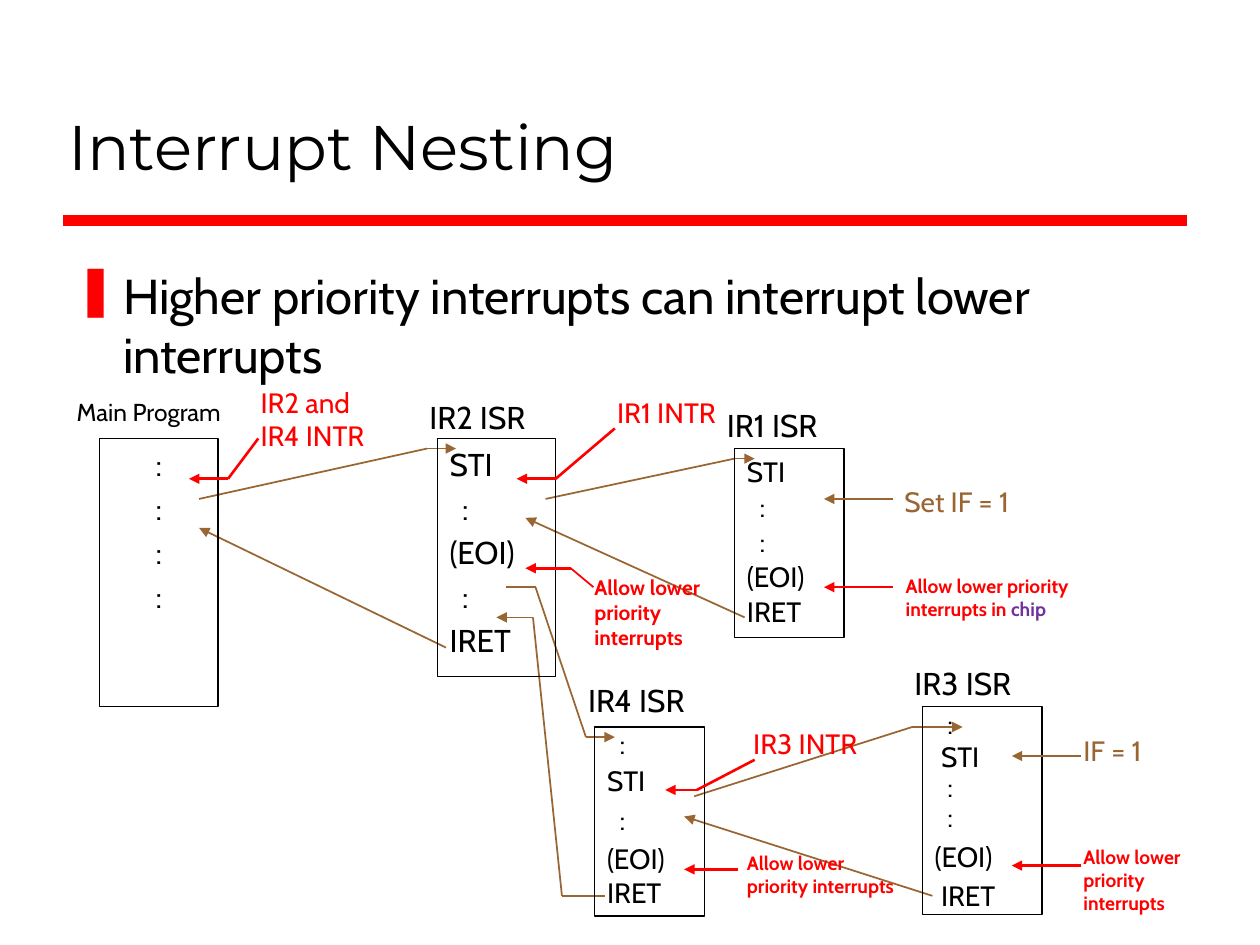
import pptx
import pptx.dml.color
import pptx.enum.shapes
import pptx.enum.text
import pptx.oxml.ns
import pptx.util
from lxml import etree

PX = 9144  # 100 px to the inch
BLACK, RED, BROWN, PURPLE = "000000", "FF0000", "996633", "7030A0"
STEP = 5  # indent step inside a routine


def px(*lengths):
    return [pptx.util.Emu(length * PX) for length in lengths]


def rgb(value):
    return pptx.dml.color.RGBColor.from_string(value)


def sub(parent, tag, **attributes):
    return etree.SubElement(parent, pptx.oxml.ns.qn(tag), attributes)


def add_run(paragraph, text, size, color=BLACK, bold=False, font="Cabin"):
    run = paragraph.add_run()
    run.text = text
    run.font.name = font
    run.font.size = pptx.util.Pt(size)
    run.font.bold = bold
    run.font.color.rgb = rgb(color)


def label(slide, box, runs, size, bold=False):
    """Place one paragraph of (text, color) runs; return the paragraph."""
    frame = slide.shapes.add_textbox(*px(*box)).text_frame
    frame.word_wrap = True
    paragraph = frame.paragraphs[0]
    paragraph.space_before = pptx.util.Pt(size * 0.2)
    for text, color in runs:
        add_run(paragraph, text, size, color, bold)
    return paragraph


def segment(slide, start, end, color, width, arrow=False):
    line = slide.shapes.add_connector(
        pptx.enum.shapes.MSO_CONNECTOR.STRAIGHT, *px(*start, *end))
    line.line.color.rgb = rgb(color)
    line.line.width = pptx.util.Pt(width)
    if arrow:
        sub(line.line._get_or_add_ln(), "a:tailEnd", type="triangle")
    sub(line._element.spPr, "a:effectLst")


def route(slide, points, color=BROWN, width=1):
    """Join the points with lines; the last one ends in an arrowhead."""
    for index, (start, end) in enumerate(zip(points, points[1:])):
        segment(slide, start, end, color, width, index == len(points) - 2)


def heading(slide, box, text):
    left, top, width, height = box
    title = slide.shapes.title
    title.left, title.top, title.width, title.height = px(*box)
    frame = title.text_frame
    frame.word_wrap = True
    frame.auto_size = pptx.enum.text.MSO_AUTO_SIZE.NONE
    frame.vertical_anchor = pptx.enum.text.MSO_ANCHOR.BOTTOM
    paragraph = frame.paragraphs[0]
    paragraph.alignment = pptx.enum.text.PP_ALIGN.LEFT
    add_run(paragraph, text, 36, font="Montserrat")
    rule = top + height + 25
    segment(slide, (left + 6, rule), (left + width + 1, rule), RED, 6)


def bullet_point(slide, box, text):
    properties = label(slide, box, [(text, BLACK)], 28)._p.get_or_add_pPr()
    hang = 38 * PX
    properties.set("marL", str(hang))
    properties.set("indent", str(-hang))
    sub(sub(properties, "a:buClr"), "a:srgbClr", val=RED)
    sub(properties, "a:buChar", char="❚")


def routine(slide, box, name, lines, size=16, name_box=(-16, -39, 106, 40),
            name_size=18, centered=False, inset=5):
    """Frame the lines (text, indent steps, before, after, line spacing)."""
    left, top, _, _ = box
    frame_box = slide.shapes.add_shape(
        pptx.enum.shapes.MSO_SHAPE.RECTANGLE, *px(*box))
    frame_box.shadow.inherit = False
    frame_box.fill.background()
    frame_box.line.color.rgb = rgb(BLACK)
    frame_box.line.width = pptx.util.Pt(0.75)
    frame = frame_box.text_frame
    frame.word_wrap = True
    frame.vertical_anchor = pptx.enum.text.MSO_ANCHOR.TOP
    frame.margin_top, frame.margin_bottom = px(inset, inset)
    align = pptx.enum.text.PP_ALIGN
    for index, (text, steps, before, after, spacing) in enumerate(lines):
        paragraph = frame.add_paragraph() if index else frame.paragraphs[0]
        paragraph.alignment = align.CENTER if centered else align.LEFT
        paragraph.space_before = pptx.util.Pt(round(size * before, 2))
        paragraph.space_after = pptx.util.Pt(round(size * after, 2))
        paragraph.line_spacing = spacing
        paragraph._p.get_or_add_pPr().set("marL", str(steps * STEP * PX))
        add_run(paragraph, text, size)
    dx, dy, width, height = name_box
    label(slide, (left + dx, top + dy, width, height), [(name, BLACK)], name_size)


def line(text, steps=0, before=0.2, after=0, spacing=1.0):
    return text, steps, before, after, spacing


def call_flow(slide):
    routes = [
        [(158, 396), (339, 356), (362, 356)],
        [(354, 514), (158, 419)],
        [(433, 396), (583, 364), (599, 364)],
        [(591, 490), (417, 411)],
        [(402, 466), (425, 466), (465, 585), (488, 585)],
        [(480, 711), (446, 711), (423, 490), (394, 490)],
        [(551, 632), (724, 577), (764, 577)],
        [(740, 711), (543, 648)],
    ]
    for points in routes:
        route(slide, points)


def routines(slide):
    routine(slide, (79, 348, 94, 213), "Main Program", [line(":")] * 4, 18,
            (-28, -38, 140, 34), 14, centered=True)
    routine(slide, (347, 348, 94, 189), "IR2 ISR",
            [line("STI"), line(":", 2), line("(EOI)"), line(":", 2),
             line("IRET")], 18, (-16, -37, 106, 40))
    routine(slide, (583, 356, 87, 150), "IR1 ISR",
            [line("STI"), line(":", 2, 0.05), line(":", 2, 0.05),
             line("(EOI)", 0, 0.05), line("IRET", 0, 0.05)])
    routine(slide, (472, 577, 87, 150), "IR4 ISR",
            [line(":", 2, 0.1), line("STI", 0, 0.1), line(":", 2, 0.2, 0.2),
             line("(EOI)", 0, 0), line("IRET", 0, 0)],
            name_box=(-15, -41, 106, 40), inset=0)
    routine(slide, (732, 561, 95, 165), "IR3 ISR",
            [line(":", 2, 0, 0, 0.8), line("STI", 1, 0),
             line(":", 2, 0, 0, 0.9), line(":", 2, 0, 0, 0.9),
             line("(EOI)"), line("IRET", 1)])


def callout(slide, box, runs, points, size=16, bold=False):
    """Place a note and the arrow that leads from it, in the note's color."""
    color = runs[0][1]
    route(slide, points, color, 1.5)
    label(slide, box, runs, size, bold)


def interrupt_requests(slide):
    callout(slide, (197, 301, 119, 64), [("IR2 and IR4 INTR", RED)],
            [(205, 348), (181, 380), (150, 380)])
    callout(slide, (480, 309, 103, 64), [("IR1 INTR", RED)],
            [(488, 340), (441, 380), (410, 380)])
    callout(slide, (588, 572, 150, 37), [("IR3 INTR", RED)],
            [(599, 603), (553, 627), (528, 627)])


def priority_notes(slide):
    allow = "Allow lower priority interrupts"
    segment(slide, (471, 466), (453, 451), RED, 1)
    callout(slide, (462, 451, 133, 71), [(allow, RED)],
            [(453, 451), (417, 451)], 12, True)
    callout(slide, (583, 671, 142, 66), [(allow, RED)],
            [(586, 690), (543, 690)], 11, True)
    callout(slide, (709, 451, 177, 47), [(allow + " in ", RED), ("chip", PURPLE)],
            [(709, 466), (654, 466)], 11, True)
    callout(slide, (850, 666, 122, 66), [(allow, RED)],
            [(858, 687), (803, 687)], 11, True)


def flag_notes(slide):
    callout(slide, (708, 380, 142, 37), [("Set IF = 1", BROWN)],
            [(709, 396), (654, 396)])
    callout(slide, (850, 577, 98, 37), [("IF = 1", BROWN)],
            [(858, 600), (803, 600)])


def main():
    deck = pptx.Presentation()
    deck.slide_width, deck.slide_height = px(1000, 750)
    slide = deck.slides.add_slide(deck.slide_layouts[5])
    heading(slide, (44, 25, 897, 125), "Interrupt Nesting")
    bullet_point(slide, (50, 206, 894, 456),
                 "Higher priority interrupts can interrupt lower interrupts")
    call_flow(slide)
    routines(slide)
    interrupt_requests(slide)
    priority_notes(slide)
    flag_notes(slide)
    deck.save("out.pptx")


if __name__ == "__main__":
    main()
